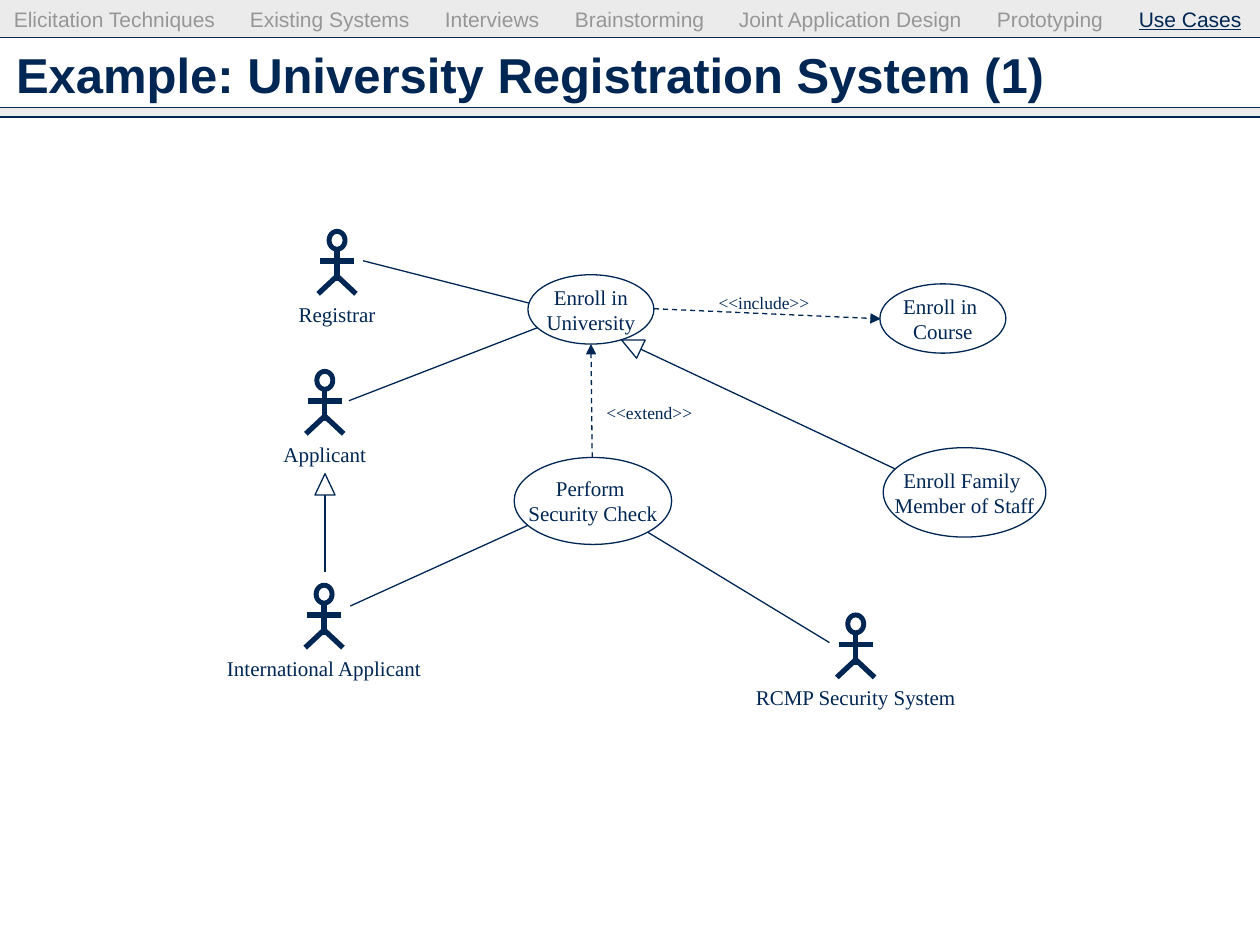
from pptx import Presentation
from pptx.dml.color import RGBColor
from pptx.enum.dml import MSO_LINE
from pptx.enum.shapes import MSO_CONNECTOR, MSO_SHAPE
from pptx.enum.text import MSO_ANCHOR, PP_ALIGN
from pptx.oxml.ns import qn
from pptx.util import Pt
from lxml.etree import SubElement

NAVY = RGBColor(0x00, 0x26, 0x54)
GREY = RGBColor(0x96, 0x96, 0x96)
BAND = RGBColor(0xCD, 0xCD, 0xCD)
WHITE = RGBColor(0xFF, 0xFF, 0xFF)
SERIF = "Times New Roman"
SANS = "Arial"

TOPICS = [("Elicitation Techniques", 0), ("Existing Systems", 134.9),
          ("Interviews", 246.3), ("Brainstorming", 320.6),
          ("Joint Application Design", 414.3), ("Prototyping", 561.7),
          ("Use Cases", 642.9)]
ASSOCIATIONS = [(360, 298, 474, 367.2), (362.9, 198, 537.1, 280),
                (320.4, 177.8, 207.4, 149), (333.4, 285.8, 200.2, 346.3),
                (333.4, 177.1, 199.4, 229), (185.8, 278.6, 185.8, 326.9)]
DEPENDENCIES = [(373.7, 176.4, 503.3, 182.2), (338.4, 261.4, 337.7, 196.6)]
GENERALIZATIONS = [(355, 190.8, 295.2), (180, 270.7, 0)]
USE_CASES = [("Perform ", "Security Check", 293.8, 261.4, 90, 49.7),
             ("Enroll in", "University", 301.7, 157, 72, 39.6),
             ("Enroll in ", "Course", 502.8, 162.2, 72, 39.6),
             ("Enroll Family ", "Member of Staff", 504.7, 255.8, 92.9, 51.1)]
ACTORS = [("Registrar", 192.6, 131.2, 60), ("Applicant", 185.6, 211.2, 64),
          ("RCMP Security System", 489, 350.4, 131),
          ("International Applicant", 185.2, 333.4, 128)]
STEREOTYPES = [("<<include>>", 402.5, 163.4, 68), ("<<extend>>", 338, 226.4, 66)]


def add_run(p, text, size, font=SERIF, color=NAVY):
    r = p.add_run()
    r.text = text
    r.font.size = Pt(size)
    r.font.name = font
    r.font.color.rgb = color
    return r


def add_line(s, x1, y1, x2, y2, width=0.75):
    ln = s.shapes.add_connector(MSO_CONNECTOR.STRAIGHT, Pt(x1), Pt(y1), Pt(x2), Pt(y2))
    ln.line.color.rgb = NAVY
    ln.line.width = Pt(width)
    SubElement(ln._element.spPr, qn("a:effectLst"))
    return ln


def add_dependency(s, *ends):
    ln = add_line(s, *ends)
    ln.line.dash_style = MSO_LINE.DASH
    SubElement(ln._element.spPr.find(qn("a:ln")), qn("a:tailEnd"), type="triangle")


def add_figure(s, kind, x, y, w, h, fill=WHITE):
    sp = s.shapes.add_shape(kind, Pt(x), Pt(y), Pt(w), Pt(h))
    sp.shadow.inherit = False
    sp.fill.solid()
    sp.fill.fore_color.rgb = fill
    sp.line.color.rgb = NAVY
    sp.line.width = Pt(0.75)
    return sp


def add_band(s, y, h):
    sp = add_figure(s, MSO_SHAPE.RECTANGLE, 0, y, 720, h, BAND)
    sp.line.fill.background()
    color = sp._element.spPr.find(qn("a:solidFill"))[0]
    SubElement(color, qn("a:alpha"), val="40000")


def add_label(s, text, x, y, w, h, size):
    tf = s.shapes.add_textbox(Pt(x), Pt(y), Pt(w), Pt(h)).text_frame
    tf.word_wrap = False
    p = tf.paragraphs[0]
    p.alignment = PP_ALIGN.CENTER
    add_run(p, text, size)


def add_use_case(s, first, second, *box):
    tf = add_figure(s, MSO_SHAPE.OVAL, *box).text_frame
    tf.word_wrap = False
    tf.vertical_anchor = MSO_ANCHOR.MIDDLE
    p = tf.paragraphs[0]
    p.alignment = PP_ALIGN.CENTER
    add_run(p, first, 12)
    p.add_line_break()
    add_run(p, second, 12)


def add_actor(s, name, x, y, w):
    head = add_figure(s, MSO_SHAPE.DONUT, x - 5.6, y, 11.2, 12.3, NAVY)
    head.adjustments[0] = 0.18
    add_line(s, x, y + 12.2, x, y + 29.5, 3)
    add_line(s, x - 9.8, y + 18, x + 9.8, y + 18, 3)
    for side in (-1, 1):
        add_line(s, x + side * 10.8, y + 36.7, x, y + 26.6, 3)
    add_label(s, name, x - w / 2, y + 37.4, w, 21.6, 12)


def add_title(s, text):
    sp = s.shapes.title
    sp.left, sp.top, sp.width, sp.height = Pt(9.2), Pt(18.4), Pt(701.3), Pt(48.2)
    tf = sp.text_frame
    tf.margin_left = tf.margin_right = tf.margin_top = tf.margin_bottom = 0
    tf.vertical_anchor = MSO_ANCHOR.MIDDLE
    p = tf.paragraphs[0]
    p.alignment = PP_ALIGN.LEFT
    add_run(p, text, 28, SANS).font.bold = True


def add_navigation(s):
    tf = s.shapes.add_textbox(Pt(0.8), Pt(3.6), Pt(718), Pt(18)).text_frame
    tf.word_wrap = False
    tf.margin_top = 0
    p = tf.paragraphs[0]
    tabs = SubElement(p._p.get_or_add_pPr(), qn("a:tabLst"))
    for _, pos in TOPICS[1:]:
        SubElement(tabs, qn("a:tab"), pos=str(int(Pt(pos))), algn="l")
    for topic, _ in TOPICS[:-1]:
        add_run(p, topic + "\t", 12, SANS, GREY)
    add_run(p, TOPICS[-1][0], 12, SANS).font.underline = True


def main():
    prs = Presentation()
    prs.slide_width, prs.slide_height = Pt(720), Pt(540)
    s = prs.slides.add_slide(prs.slide_layouts[5])
    add_band(s, 0, 21.6)
    add_band(s, 61.4, 5.3)
    for y in (21.5, 61.4, 66.8):
        add_line(s, 0, y, 720, y)
    add_title(s, "Example: University Registration System (1)")
    add_navigation(s)
    for ends in ASSOCIATIONS:
        add_line(s, *ends)
    for x, y, angle in GENERALIZATIONS:
        add_figure(s, MSO_SHAPE.ISOSCELES_TRIANGLE, x, y, 11.5, 12.2).rotation = angle
    for case in USE_CASES:
        add_use_case(s, *case)
    for ends in DEPENDENCIES:
        add_dependency(s, *ends)
    for text, x, y, w in STEREOTYPES:
        add_label(s, text, x, y, w, 19.4, 10)
    for actor in ACTORS:
        add_actor(s, *actor)
    prs.save("out.pptx")


if __name__ == "__main__":
    main()
